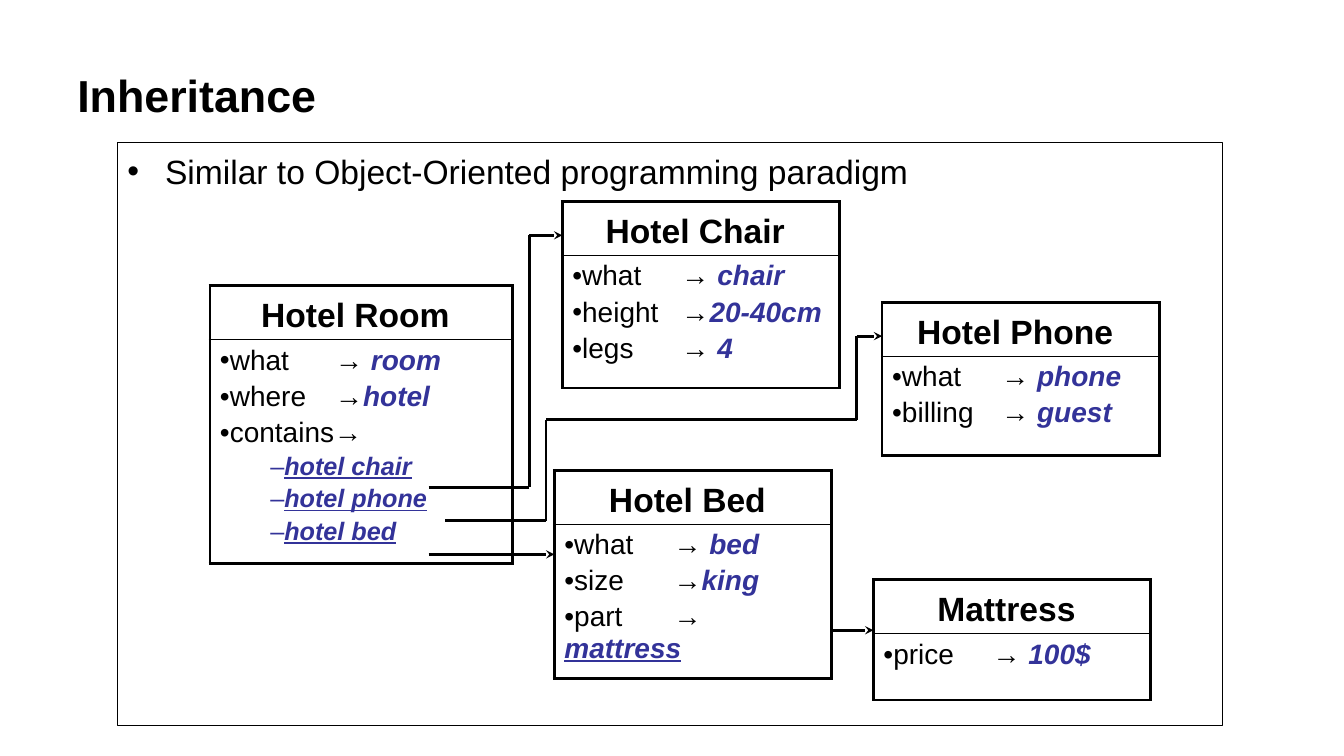
from dataclasses import dataclass
from itertools import pairwise
from typing import NamedTuple

from lxml import etree
from pptx import Presentation
from pptx.enum import shapes as kinds, text as txt
from pptx.oxml import ns
from pptx.util import Cm, Pt
from pptx.dml.color import RGBColor

COLORS = {"ink": "000000", "value": "333399"}
FONT = "Arial"
HEADER_HEIGHT = 1.36
Point = tuple[float, float]


class Slot(NamedTuple):
    name: str
    arrow: str = ""
    value: str = ""
    linked: bool = False


@dataclass
class Frame:
    title: str
    left: float
    top: float
    width: float
    height: float
    slots: list[Slot]
    contents: tuple[str, ...] = ()
    tab: float = 2.75


@dataclass
class Route:
    """Line through several points, with an arrowhead at the last one."""
    points: list[Point]


FRAMES = [
    Frame("Hotel Room", 5.29, 7.2, 7.62, 6.8,
          [Slot("what", "\t→ ", "room"), Slot("where", "\t→", "hotel"), Slot("contains", "→")],
          ("hotel chair", "hotel phone", "hotel bed"), 2.9),
    Frame("Hotel Chair", 14.17, 5.08, 6.99, 4.7,
          [Slot("what", "\t→ ", "chair"), Slot("height", "\t→", "20-40cm"),
           Slot("legs", "\t→ ", "4")]),
    Frame("Hotel Phone", 22.23, 7.62, 6.99, 3.85,
          [Slot("what", "\t→ ", "phone"), Slot("billing", "\t→ ", "guest")]),
    Frame("Hotel Bed", 13.97, 11.85, 6.99, 5.05,
          [Slot("what", "\t→ ", "bed"), Slot("size", "\t→", "king"),
           Slot("part", "\t→ ", "mattress", True)]),
    Frame("Mattress", 22.01, 14.61, 6.99, 3.03, [Slot("price", "\t→ ", "100$")]),
]

ROUTES = [
    Route([(10.8, 12.28), (13.34, 12.28), (13.34, 5.93), (14.17, 5.93)]),
    Route([(11.22, 13.12), (13.76, 13.12), (13.76, 10.58), (21.59, 10.58),
           (21.59, 8.47), (22.23, 8.47)]),
    Route([(10.8, 13.97), (13.97, 13.97)]),
    Route([(20.96, 15.88), (22.01, 15.88)]),
]


def add_xml(parent, tag: str, **attributes):
    return etree.SubElement(parent, ns.qn(tag), attributes)


def add_text(paragraph, content: str, *, size: float, color: str = "ink",
             bold: bool = False, italic: bool = False, underline: bool = False) -> None:
    run = paragraph.add_run()
    run.text = content
    font = run.font
    font.name, font.size = FONT, Pt(size)
    font.bold, font.italic, font.underline = bold, italic, underline
    font.color.rgb = RGBColor.from_string(COLORS[color])


def set_bullet(paragraph, char: str, margin: float = 0, indent: float = 0,
               tab: float | None = None) -> None:
    props = paragraph._p.get_or_add_pPr()
    props.set("marL", str(Cm(margin)))
    props.set("indent", str(Cm(indent)))
    add_xml(props, "a:buFont", typeface=FONT)
    add_xml(props, "a:buChar", char=char)
    if tab is not None:
        add_xml(add_xml(props, "a:tabLst"), "a:tab", pos=str(Cm(tab)), algn="l")


def set_borders(cell, top: float, bottom: float) -> None:
    props = cell._tc.get_or_add_tcPr()
    for side, weight in {"L": 2.25, "R": 2.25, "T": top, "B": bottom}.items():
        border = add_xml(props, f"a:ln{side}", w=str(Pt(weight)))
        add_xml(add_xml(border, "a:solidFill"), "a:srgbClr", val=COLORS["ink"])
    cell.fill.background()


def next_paragraph(text_frame, first: bool, gap: float):
    paragraph = text_frame.paragraphs[0] if first else text_frame.add_paragraph()
    paragraph.space_before = Pt(0 if first else gap)
    return paragraph


def draw_frame(slide, frame: Frame) -> None:
    table = slide.shapes.add_table(2, 1, Cm(frame.left), Cm(frame.top),
                                   Cm(frame.width), Cm(frame.height)).table
    table.first_row = table.horz_banding = False
    table.rows[0].height = Cm(HEADER_HEIGHT)
    table.rows[1].height = Cm(frame.height - HEADER_HEIGHT)
    header, body = table.cell(0, 0), table.cell(1, 0)
    set_borders(header, 2.25, 1)
    set_borders(body, 1, 2.25)

    header.margin_right = Cm(0.54)
    header.vertical_anchor = txt.MSO_ANCHOR.BOTTOM
    title = header.text_frame.paragraphs[0]
    title.alignment = txt.PP_ALIGN.CENTER
    add_text(title, frame.title, size=24, bold=True)

    for index, slot in enumerate(frame.slots):
        line = next_paragraph(body.text_frame, index == 0, 3.5)
        set_bullet(line, "•", tab=frame.tab)
        add_text(line, slot.name + slot.arrow, size=20)
        if slot.value:
            add_text(line, slot.value, size=20, color="value", bold=True,
                     italic=True, underline=slot.linked)
    for item in frame.contents:
        line = next_paragraph(body.text_frame, False, 3)
        set_bullet(line, "–", margin=1.27)
        add_text(line, item, size=18, color="value", bold=True, italic=True, underline=True)


def draw_route(slide, route: Route) -> None:
    for start, end in pairwise(route.points):
        segment = slide.shapes.add_connector(
            kinds.MSO_CONNECTOR.STRAIGHT, *(Cm(value) for value in start + end))
        segment.line.width = Pt(2)
        segment.line.color.rgb = RGBColor.from_string(COLORS["ink"])
        props = segment._element.spPr
        if end == route.points[-1]:
            add_xml(props.get_or_add_ln(), "a:tailEnd", type="stealth")
        add_xml(props, "a:effectLst")


def draw_heading(slide) -> None:
    heading = slide.shapes.add_textbox(Cm(1.7), Cm(0.8), Cm(30.48), Cm(3.18)).text_frame
    heading.word_wrap = True
    heading.vertical_anchor = txt.MSO_ANCHOR.MIDDLE
    add_text(heading.paragraphs[0], "Inheritance", size=32, bold=True)


def draw_panel(slide) -> None:
    panel = slide.shapes.add_shape(kinds.MSO_SHAPE.RECTANGLE,
                                   Cm(2.96), Cm(3.6), Cm(27.86), Cm(14.68))
    panel.shadow.inherit = False
    panel.fill.background()
    panel.line.width = Pt(0.75)
    panel.line.color.rgb = RGBColor.from_string(COLORS["ink"])
    summary = panel.text_frame
    summary.word_wrap = True
    summary.vertical_anchor = txt.MSO_ANCHOR.TOP
    summary.margin_top = Cm(0.2)
    statement = summary.paragraphs[0]
    statement.alignment = txt.PP_ALIGN.LEFT
    set_bullet(statement, "•", margin=0.95, indent=-0.95)
    add_text(statement, "Similar to Object-Oriented programming paradigm", size=24)


def main() -> None:
    deck = Presentation()
    deck.slide_width, deck.slide_height = Cm(33.87), Cm(19.05)
    slide = deck.slides.add_slide(deck.slide_layouts[6])
    draw_heading(slide)
    draw_panel(slide)
    for frame in FRAMES:
        draw_frame(slide, frame)
    for route in ROUTES:
        draw_route(slide, route)
    deck.save("out.pptx")


if __name__ == "__main__":
    main()
